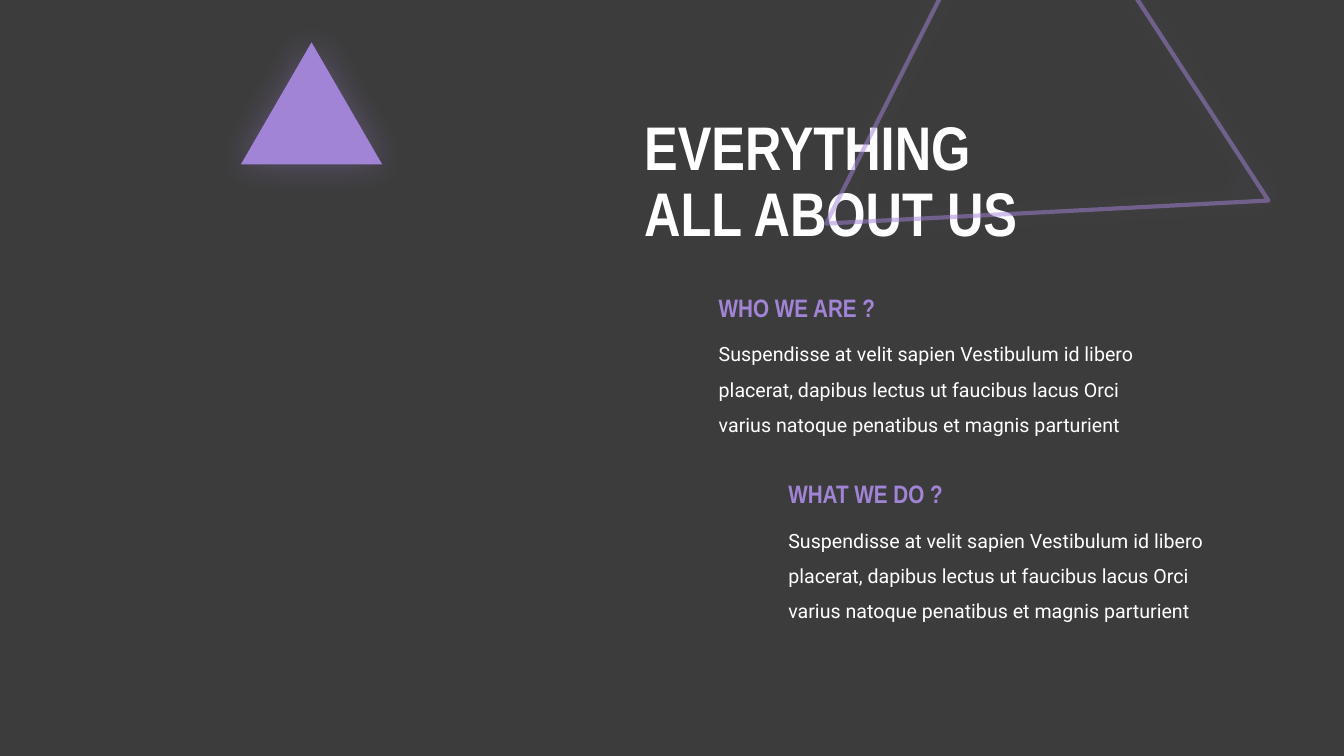
from lxml import etree
from pptx import Presentation
from pptx.dml.color import RGBColor
from pptx.enum.shapes import MSO_SHAPE
from pptx.enum.text import MSO_ANCHOR, MSO_AUTO_SIZE
from pptx.oxml.ns import qn
from pptx.util import Inches, Pt

TRIANGLE = MSO_SHAPE.ISOSCELES_TRIANGLE
MIDDLE = MSO_ANCHOR.MIDDLE
TOP = MSO_ANCHOR.TOP
GROW = MSO_AUTO_SIZE.SHAPE_TO_FIT_TEXT
FIXED = MSO_AUTO_SIZE.NONE

COLORS = {"background": "3C3C3C", "accent": "A284D7", "text": "FFFFFF"}
HEADING_FONT = "Arial Narrow"
BODY_FONT = "Roboto"

BODY = ("Suspendisse at velit sapien Vestibulum id libero placerat, "
        "dapibus lectus ut faucibus lacus Orci varius natoque penatibus "
        "et magnis parturient")
SECTIONS = [
    (7.03, 2.85, "WHO WE ARE ?"),
    (7.72, 4.7, "WHAT WE DO ?"),
]


def rgb(name):
    return RGBColor.from_string(COLORS[name])


def add_text(s, box, text, font, size, color, bold=False, spacing=1.0,
             anchor=TOP, auto_size=GROW):
    tb = s.shapes.add_textbox(*map(Inches, box))
    tf = tb.text_frame
    tf.word_wrap = True
    tf.auto_size = auto_size
    tf.vertical_anchor = anchor
    p = tf.paragraphs[0]
    p.text = text
    p.line_spacing = spacing
    p.font.name = font
    p.font.size = Pt(size)
    p.font.bold = bold
    p.font.color.rgb = rgb(color)


def add_alpha(color, percent):
    etree.SubElement(color, qn("a:alpha"), val=str(percent * 1000))


def add_triangle(s, box):
    """Add a triangle with a soft accent-coloured shadow all round."""
    sp = s.shapes.add_shape(TRIANGLE, *map(Inches, box))
    sp.shadow.inherit = False
    effects = sp._element.spPr.find(qn("a:effectLst"))
    shadow = etree.SubElement(effects, qn("a:outerShdw"), blurRad=str(Pt(25)),
                              dist="0", dir="0", algn="ctr", rotWithShape="0")
    color = etree.SubElement(shadow, qn("a:srgbClr"), val=COLORS["accent"])
    add_alpha(color, 35)
    return sp


def add_outline_triangle(s, box, rotation):
    sp = add_triangle(s, box)
    sp.rotation = rotation
    sp.fill.background()
    sp.line.width = Pt(3)
    sp.line.color.rgb = rgb("accent")
    add_alpha(sp.line._ln.find(".//" + qn("a:srgbClr")), 50)


def add_solid_triangle(s, box):
    sp = add_triangle(s, box)
    sp.fill.solid()
    sp.fill.fore_color.rgb = rgb("accent")
    sp.line.fill.background()


def add_section(s, left, top, heading):
    add_text(s, (left, top + 0.38, 4.51, 1.12), BODY, BODY_FONT, 14, "text",
             spacing=1.5)
    add_text(s, (left, top, 2.45, 0.4), heading, HEADING_FONT, 18, "accent",
             bold=True)


def main():
    prs = Presentation()
    prs.slide_width = Inches(13.33)
    prs.slide_height = Inches(7.5)
    s = prs.slides.add_slide(prs.slide_layouts[6])
    s.background.fill.solid()
    s.background.fill.fore_color.rgb = rgb("background")

    add_text(s, (6.29, 1.03, 5.62, 1.58), "EVERYTHING\vALL ABOUT US",
             HEADING_FONT, 44, "text", bold=True, spacing=0.9,
             anchor=MIDDLE, auto_size=FIXED)
    add_outline_triangle(s, (7.58, -0.72, 4.41, 3.8), 236.9)
    add_solid_triangle(s, (2.39, 0.42, 1.4, 1.21))
    for left, top, heading in SECTIONS:
        add_section(s, left, top, heading)

    prs.save("out.pptx")


if __name__ == "__main__":
    main()
